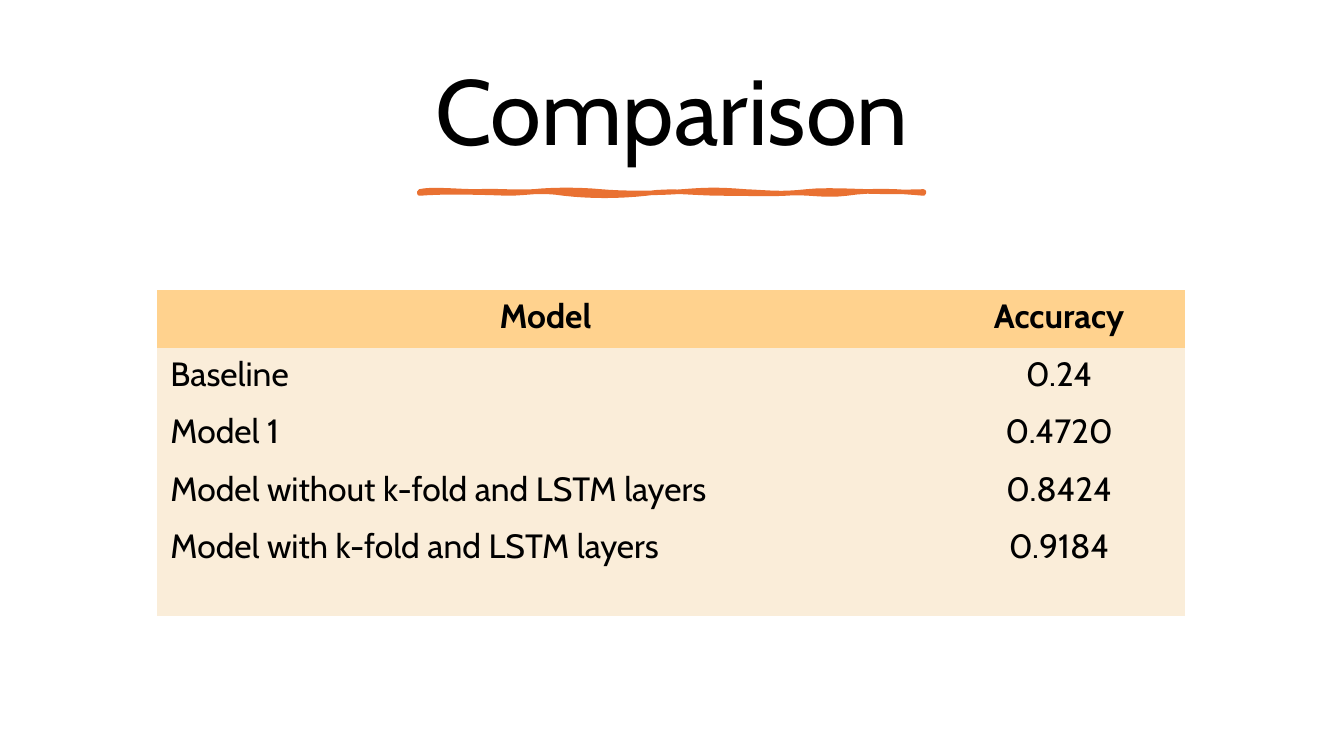
from dataclasses import dataclass

from lxml import etree
from pptx import Presentation
from pptx.dml.color import RGBColor
from pptx.enum.text import MSO_ANCHOR, PP_ALIGN
from pptx.oxml.ns import qn
from pptx.util import Inches, Pt

LEFT, CENTER = PP_ALIGN.LEFT, PP_ALIGN.CENTER
MIDDLE = MSO_ANCHOR.MIDDLE


@dataclass(frozen=True)
class Theme:
    font: str = "Cabin"
    title: int = 66
    body: int = 24
    ink: RGBColor = RGBColor(0x00, 0x00, 0x00)
    stroke: RGBColor = RGBColor(0xE9, 0x71, 0x32)
    head: RGBColor = RGBColor(0xFF, 0xD2, 0x8E)
    row: RGBColor = RGBColor(0xFA, 0xED, 0xD9)


THEME = Theme()
NO_GRID = "{2D5ABB26-0587-4C30-8999-92F81FD0307C}"

ROWS = [
    ("Model", "Accuracy"),
    ("Baseline", "0.24"),
    ("Model 1", "0.4720"),
    ("Model without k-fold and LSTM layers", "0.8424"),
    ("Model with k-fold and LSTM layers", "0.9184"),
]

# Brush outline: two controls and an end point per curve, from the box corner
BRUSH = [
    (0.12, -0.03, 0.38, 0, 0.57, 0),
    (0.76, -0.01, 0.93, 0.01, 1.13, 0),
    (1.33, -0.02, 1.58, -0.02, 1.8, 0),
    (2.01, 0.02, 2.37, 0.02, 2.61, 0),
    (2.86, -0.02, 2.98, -0.02, 3.23, 0),
    (3.47, 0.01, 3.58, 0.03, 3.84, 0),
    (4.1, -0.03, 4.51, 0.02, 5, 0),
    (5.01, 0.01, 5, 0.01, 5, 0.02),
    (4.79, 0, 4.49, -0.02, 4.24, 0.02),
    (3.99, 0.05, 3.85, 0, 3.63, 0.02),
    (3.4, 0.03, 3.31, 0.02, 3.01, 0.02),
    (2.71, 0.02, 2.51, -0.02, 2.25, 0.02),
    (1.98, 0.05, 1.69, 0.05, 1.43, 0.02),
    (1.18, -0.02, 1.07, 0.02, 0.87, 0.02),
    (0.67, 0.01, 0.22, 0, 0, 0.02),
]


def style(para, size, align, bold=False):
    para.alignment = align
    for run in para.runs:
        font = run.font
        font.name, font.size, font.bold = THEME.font, Pt(size), bold
        font.color.rgb = THEME.ink


def trace(curves, steps=8):
    """Points along a chain of cubic curves that starts at the corner."""
    x, y = 0, 0
    for ax, ay, bx, by, ex, ey in curves:
        for step in range(1, steps + 1):
            t = step / steps
            u = 1 - t
            a, b, c, d = u**3, 3 * u * u * t, 3 * u * t * t, t**3
            yield a * x + b * ax + c * bx + d * ex, a * y + b * ay + c * by + d * ey
        x, y = ex, ey


def add_title(slide, left, top, width, height):
    box = slide.shapes.add_textbox(*map(Inches, (left, top, width, height)))
    frame = box.text_frame
    frame.word_wrap = True
    frame.vertical_anchor = MIDDLE
    frame.text = "Comparison"
    para = frame.paragraphs[0]
    para.line_spacing = 0.9
    style(para, THEME.title, CENTER)


def add_brush(slide, left, top):
    pen = slide.shapes.build_freeform(Inches(left), Inches(top))
    pen.add_line_segments(
        [(Inches(left + x), Inches(top + y)) for x, y in trace(BRUSH)], close=True
    )
    brush = pen.convert_to_shape()
    brush.shadow.inherit = False
    brush.fill.solid()
    brush.fill.fore_color.rgb = THEME.stroke
    brush.line.color.rgb = THEME.stroke
    brush.line.width = Pt(3.25)
    # Rounded corners on the outline
    etree.SubElement(brush.line._get_or_add_ln(), qn("a:round"))


def add_scores(slide, left, top, width, height):
    frame = slide.shapes.add_table(
        len(ROWS), 2, *map(Inches, (left, top, width, height))
    )
    frame.element.xpath(".//a:tableStyleId")[0].text = NO_GRID
    table = frame.table
    table.first_row = table.horz_banding = False

    # The last row takes the height left over
    line = 0.57
    for row in table.rows:
        row.height = Inches(line)
    table.rows[len(ROWS) - 1].height = Inches(height - line * (len(ROWS) - 1))
    score = 2.49
    table.columns[0].width = Inches(width - score)
    table.columns[1].width = Inches(score)

    for r, texts in enumerate(ROWS):
        head = r == 0
        for c, text in enumerate(texts):
            cell = table.cell(r, c)
            cell.margin_left = cell.margin_right = Inches(0.13)
            cell.margin_top = cell.margin_bottom = Inches(0.06)
            cell.fill.solid()
            cell.fill.fore_color.rgb = THEME.head if head else THEME.row
            cell.text_frame.text = text
            align = CENTER if head or c else LEFT
            style(cell.text_frame.paragraphs[0], THEME.body, align, head)


def main():
    deck = Presentation()
    deck.slide_width, deck.slide_height = Inches(13.33), Inches(7.5)
    slide = deck.slides.add_slide(deck.slide_layouts[6])
    add_title(slide, 0.7, 0.46, 11.93, 1.37)
    add_brush(slide, 4.16, 1.9)
    add_scores(slide, 1.56, 2.88, 10.19, 3.23)
    deck.save("out.pptx")


if __name__ == "__main__":
    main()
